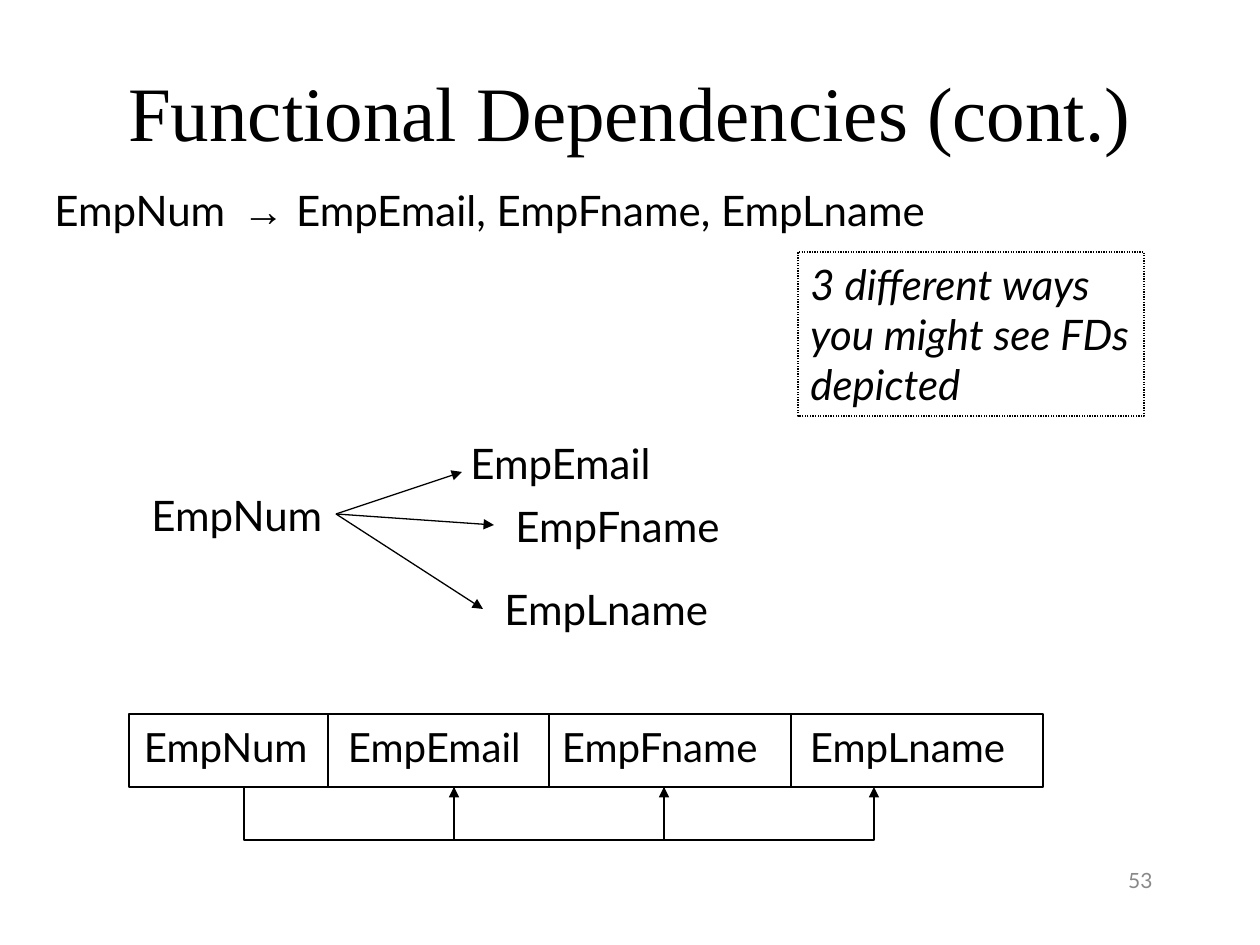
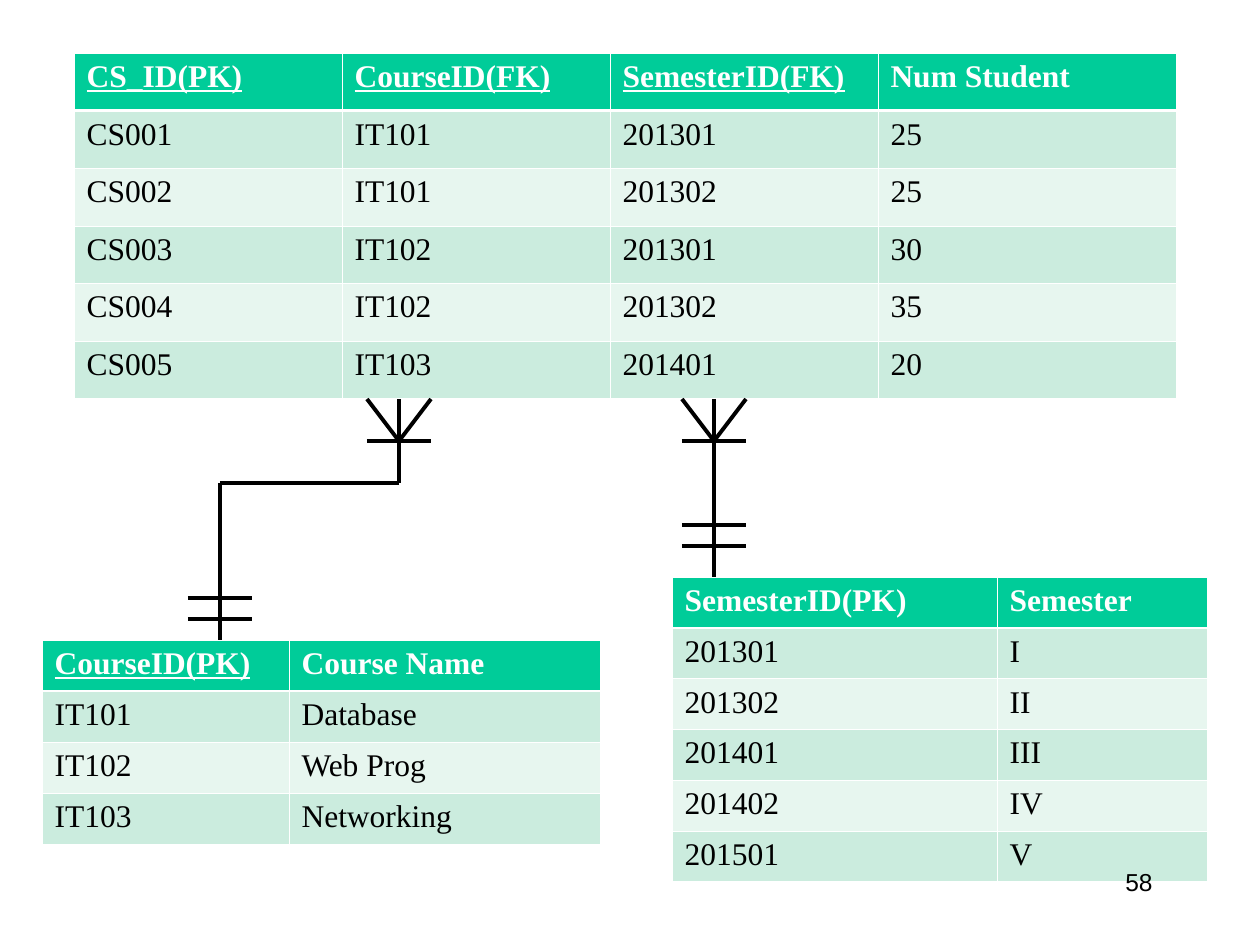
from lxml import etree
from pptx import Presentation
from pptx import util as u
from pptx.dml.color import RGBColor
from pptx.enum import dml, shapes, text
from pptx.oxml import ns

PX = 914400 / 126
BLACK = RGBColor(0x00, 0x00, 0x00)
WHITE = RGBColor(0xFF, 0xFF, 0xFF)
GREY = RGBColor(0x89, 0x89, 0x89)
HEADER = RGBColor(0x00, 0xCC, 0x99)
BANDS = [RGBColor(0xCB, 0xEC, 0xDE), RGBColor(0xE7, 0xF6, 0xEF)]
SANS, SERIF, ARIAL = "Lato", "Times New Roman", "Arial"
LEFT, CENTER, RIGHT = text.PP_ALIGN.LEFT, text.PP_ALIGN.CENTER, text.PP_ALIGN.RIGHT
NUMBER_BOX = (903, 861, 262, 63)

# Content: functional dependencies
TITLE = "Functional Dependencies (cont.)"
TITLE_BOX = (94, 32, 1072, 158)
RULE = [("EmpNum\t", SANS), ("→ ", ARIAL), ("EmpEmail, EmpFname, EmpLname", SANS)]
RULE_BOX, RULE_TAB = (42, 178, 937, 113), 188
NOTE = "3 different ways you might see FDs depicted"
NOTE_BOX = (798, 252, 346, 164)
LABELS = [("EmpNum", (139, 483, 210, 63)), ("EmpEmail", (458, 431, 222, 63)),
          ("EmpFname", (503, 494, 248, 63)), ("EmpLname", (492, 577, 248, 63))]
FAN_START = (336, 514)
FAN_ENDS = [(462, 472), (494, 525), (483, 609)]
# Attribute, cell width, text indent
ATTRIBUTES = [("EmpNum", 199, 15), ("EmpEmail", 221, 20),
              ("EmpFname", 242, 13), ("EmpLname", 252, 19)]
ROW_LEFT, ROW_TOP, ROW_HEIGHT = 129, 714, 73
HOOK_LEFT, HOOK_STEP, HOOK_DEPTH = 244, 210, 53

# Content: linked tables (place, column widths, underlined headings, rows)
TABLES = [
    dict(at=(672, 577), height=305, columns=[325, 210], keys=0, rows=[
        ("SemesterID(PK)", "Semester"),
        ("201301", "I"), ("201302", "II"), ("201401", "III"),
        ("201402", "IV"), ("201501", "V")]),
    dict(at=(42, 640), height=204, columns=[247, 311], keys=1, rows=[
        ("CourseID(PK)", "Course Name"),
        ("IT101", "Database"), ("IT102", "Web Prog"), ("IT103", "Networking")]),
    dict(at=(74, 53), height=346, columns=[268, 268, 268, 298], keys=3, rows=[
        ("CS_ID(PK)", "CourseID(FK)", "SemesterID(FK)", "Num Student"),
        ("CS001", "IT101", "201301", "25"),
        ("CS002", "IT101", "201302", "25"),
        ("CS003", "IT102", "201301", "30"),
        ("CS004", "IT102", "201302", "35"),
        ("CS005", "IT103", "201401", "20")]),
]
COURSE_X, SEMESTER_X, COURSE_TABLE_X = 399, 714, 220
FOOT_TOP, FOOT_TIP, ELBOW_Y = 399, 441, 483
SEMESTER_TOP, COURSE_TOP = 577, 640
HALF_BAR = 32


def px(*values):
    return [u.Emu(round(value * PX)) for value in values]


# Text helpers
def add_span(para, words, size, font=SANS, color=BLACK, bold=False,
             italic=False, underline=False):
    span = para.add_run()
    span.text = words
    span.font.size, span.font.name = u.Pt(size), font
    span.font.bold, span.font.italic = bold, italic
    span.font.underline = underline
    span.font.color.rgb = color


def prepare(frame, align=LEFT):
    frame.word_wrap = True
    frame.vertical_anchor = text.MSO_ANCHOR.TOP
    para = frame.paragraphs[0]
    para.alignment = align
    return para


def add_text(page, place, words, size, align=LEFT, **style):
    box = page.shapes.add_textbox(*px(*place))
    add_span(prepare(box.text_frame, align), words, size, **style)


# Line helpers
def set_line(line, width, arrow=False):
    line.color.rgb, line.width = BLACK, u.Pt(width)
    if arrow:
        etree.SubElement(line._get_or_add_ln(), ns.qn("a:tailEnd"), type="triangle")


def add_line(page, start, end, width=2.25, arrow=False):
    line = page.shapes.add_connector(shapes.MSO_CONNECTOR.STRAIGHT,
                                     *px(*start, *end))
    set_line(line.line, width, arrow)
    etree.SubElement(line._element.spPr, ns.qn("a:effectLst"))


def outline(shape, arrow=False):
    shape.shadow.inherit = False
    shape.fill.background()
    set_line(shape.line, 0.75, arrow)


def add_frame(page, place):
    frame = page.shapes.add_shape(shapes.MSO_SHAPE.RECTANGLE, *px(*place))
    outline(frame)
    return frame


# Table helpers
def add_borders(cell, widths):
    properties = cell._tc.get_or_add_tcPr()
    for side, width in widths.items():
        line = etree.SubElement(properties, ns.qn("a:ln" + side), w=str(u.Pt(width)))
        fill = etree.SubElement(line, ns.qn("a:solidFill"))
        etree.SubElement(fill, ns.qn("a:srgbClr"), val=str(WHITE))


def add_data_table(page, at, height, columns, keys, rows):
    grid = page.shapes.add_table(len(rows), len(columns),
                                 *px(*at, sum(columns), height)).table
    grid.first_row = grid.horz_banding = False
    for column, width in zip(grid.columns, px(*columns)):
        column.width = width
    for r, row in enumerate(rows):
        grid.rows[r].height = px(height / len(rows))[0]
        head = r == 0
        for c, words in enumerate(row):
            cell = grid.cell(r, c)
            add_borders(cell, {"L": 0.45, "R": 0.45, "T": 1.47 if r == 1 else 0.45,
                               "B": 1.47 if head else 0.45})
            cell.fill.solid()
            cell.fill.fore_color.rgb = HEADER if head else BANDS[(r - 1) % 2]
            add_span(cell.text_frame.paragraphs[0], words, 18, SERIF,
                     WHITE if head else BLACK, bold=head,
                     underline=head and c < keys)


# Relationship marks
def add_bar(page, x, y):
    add_line(page, (x - HALF_BAR, y), (x + HALF_BAR, y))


def add_crow_foot(page, x):
    add_bar(page, x, FOOT_TIP)
    for side in (-HALF_BAR, HALF_BAR):
        add_line(page, (x, FOOT_TIP), (x + side, FOOT_TOP))


def build_dependencies(deck):
    page = deck.slides.add_slide(deck.slide_layouts[5])
    title = page.shapes.title
    title.left, title.top, title.width, title.height = px(*TITLE_BOX)
    para = prepare(title.text_frame, CENTER)
    title.text_frame.vertical_anchor = text.MSO_ANCHOR.MIDDLE
    add_span(para, TITLE, 44, SERIF)
    add_text(page, NUMBER_BOX, "53", 12, RIGHT, color=GREY)

    # Arrow notation
    para = prepare(page.shapes.add_textbox(*px(*RULE_BOX)).text_frame)
    stops = etree.SubElement(para._p.get_or_add_pPr(), ns.qn("a:tabLst"))
    etree.SubElement(stops, ns.qn("a:tab"), pos=str(px(RULE_TAB)[0]), algn="l")
    for words, font in RULE:
        add_span(para, words, 24, font)

    # Fan of arrows
    for words, place in LABELS:
        add_text(page, place, words, 24)
    for end in FAN_ENDS:
        add_line(page, FAN_START, end, 0.75, arrow=True)

    # Row of attributes with hooked arrows below
    left = ROW_LEFT
    for words, width, indent in ATTRIBUTES:
        frame = add_frame(page, (left, ROW_TOP, width, ROW_HEIGHT)).text_frame
        frame.margin_left, frame.margin_right, frame.margin_top = px(indent, 0, 8)
        add_span(prepare(frame), words, 23)
        left += width
    top = ROW_TOP + ROW_HEIGHT
    bottom = top + HOOK_DEPTH
    for index in range(len(ATTRIBUTES) - 1):
        start = HOOK_LEFT + index * HOOK_STEP
        end = start + HOOK_STEP
        path_builder = page.shapes.build_freeform(start, top, scale=PX)
        path_builder.add_line_segments([(start, bottom), (end, bottom), (end, top)],
                                       close=False)
        outline(path_builder.convert_to_shape(), arrow=True)

    # Dotted note
    note = add_frame(page, NOTE_BOX)
    note.line.dash_style = dml.MSO_LINE.ROUND_DOT
    add_span(prepare(note.text_frame), NOTE, 24, italic=True)


def build_linked_tables(deck):
    page = deck.slides.add_slide(deck.slide_layouts[6])
    for table in TABLES:
        add_data_table(page, **table)
    add_text(page, NUMBER_BOX, "58", 14, RIGHT, font=ARIAL)

    # Many ends, then the lines down to each table, then the single ends
    for x in (COURSE_X, SEMESTER_X):
        add_crow_foot(page, x)
    elbow = (COURSE_TABLE_X, ELBOW_Y)
    for start, end in [((COURSE_X, FOOT_TOP), (COURSE_X, ELBOW_Y)),
                       (elbow, (COURSE_X, ELBOW_Y)),
                       (elbow, (COURSE_TABLE_X, COURSE_TOP)),
                       ((SEMESTER_X, FOOT_TOP), (SEMESTER_X, SEMESTER_TOP))]:
        add_line(page, start, end)
    for x, y in [(COURSE_TABLE_X, COURSE_TOP - 42), (SEMESTER_X, SEMESTER_TOP - 52)]:
        for drop in (0, 21):
            add_bar(page, x, y + drop)


def main():
    deck = Presentation()
    deck.slide_width, deck.slide_height = px(1260, 945)
    build_dependencies(deck)
    build_linked_tables(deck)
    deck.save("out.pptx")


if __name__ == "__main__":
    main()
